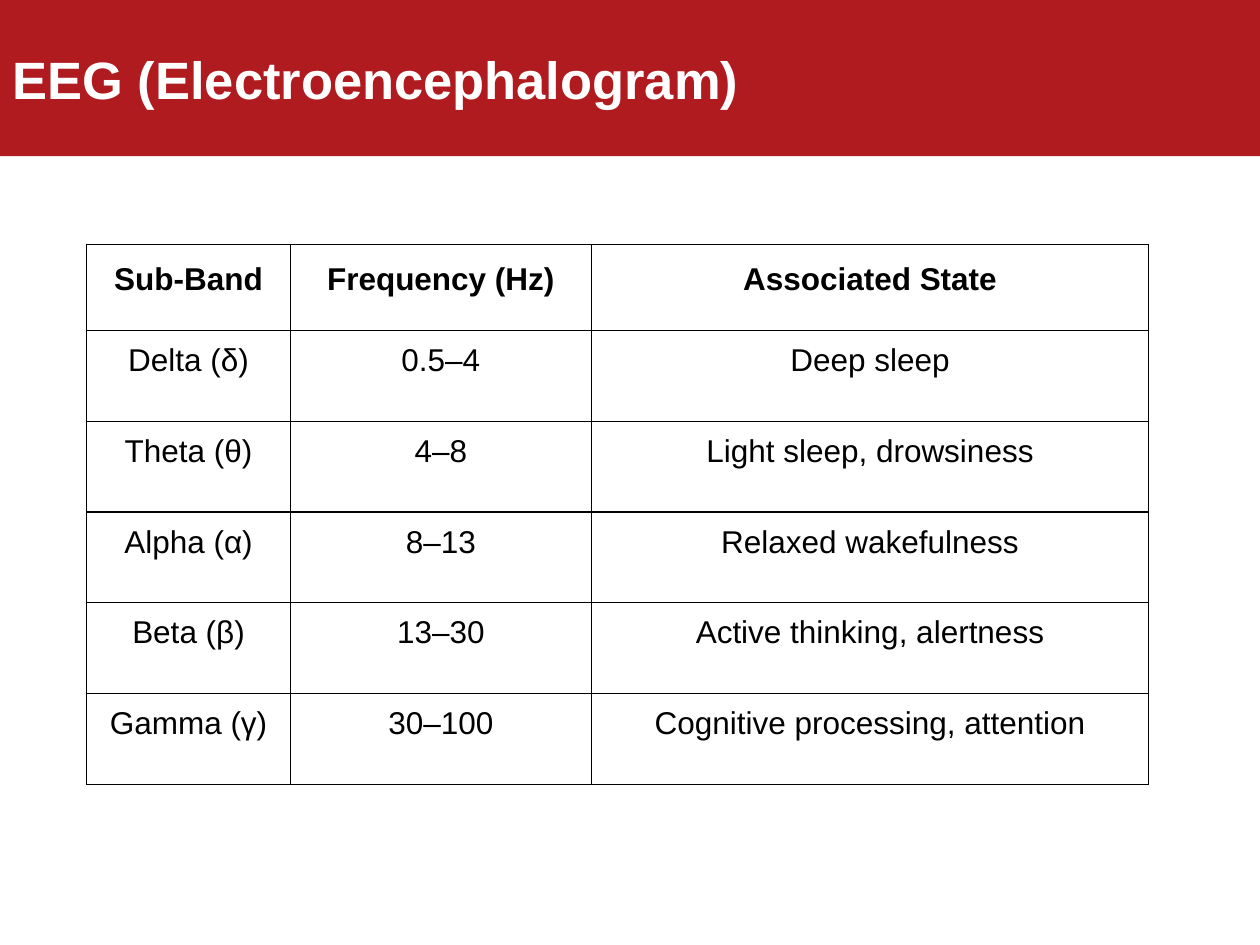
from lxml.etree import SubElement
from pptx import Presentation
from pptx.dml.color import RGBColor
from pptx.enum.text import MSO_ANCHOR, MSO_AUTO_SIZE, PP_ALIGN
from pptx.oxml.ns import qn
from pptx.util import Pt

RED = RGBColor(0xB0, 0x1B, 0x20)
WHITE = RGBColor(0xFF, 0xFF, 0xFF)
BLACK = RGBColor(0x00, 0x00, 0x00)
FONT = "Arial"

SLIDE_WIDTH, SLIDE_HEIGHT = 720, 540
BANNER_HEIGHT = 89.3
COLUMN_SHARES = [0.192, 0.283, 0.525]
HEADER_HEIGHT = 49.2
CELL_MARGIN = Pt(7.2)
BORDER_WIDTH = Pt(0.75)

BANDS = [
    ("Sub-Band", "Frequency (Hz)", "Associated State"),
    ("Delta (δ)", "0.5–4", "Deep sleep"),
    ("Theta (θ)", "4–8", "Light sleep, drowsiness"),
    ("Alpha (α)", "8–13", "Relaxed wakefulness"),
    ("Beta (β)", "13–30", "Active thinking, alertness"),
    ("Gamma (γ)", "30–100", "Cognitive processing, attention"),
]


def format_font(font, size, color, bold):
    font.name = FONT
    font.size = Pt(size)
    font.color.rgb = color
    font.bold = bold


def add_title_banner(slide, left, top, width, height):
    title = slide.shapes.title
    title.left, title.top = Pt(left), Pt(top)
    title.width, title.height = Pt(width), Pt(height)
    title.fill.solid()
    title.fill.fore_color.rgb = RED
    text_frame = title.text_frame
    text_frame.text = "EEG (Electroencephalogram)"
    text_frame.auto_size = MSO_AUTO_SIZE.NONE
    text_frame.vertical_anchor = MSO_ANCHOR.MIDDLE
    paragraph = text_frame.paragraphs[0]
    paragraph.alignment = PP_ALIGN.LEFT
    format_font(paragraph.runs[0].font, 30, WHITE, True)


def add_borders(cell):
    properties = cell._tc.get_or_add_tcPr()
    for side in ("a:lnL", "a:lnR", "a:lnT", "a:lnB"):
        line = SubElement(properties, qn(side), w=str(BORDER_WIDTH))
        fill = SubElement(line, qn("a:solidFill"))
        SubElement(fill, qn("a:srgbClr"), val=str(BLACK))


def fill_cell(cell, text, is_header):
    add_borders(cell)
    cell.fill.background()
    cell.margin_left = cell.margin_right = CELL_MARGIN
    cell.margin_top = cell.margin_bottom = CELL_MARGIN
    cell.vertical_anchor = MSO_ANCHOR.TOP
    cell.text_frame.text = text
    paragraph = cell.text_frame.paragraphs[0]
    paragraph.alignment = PP_ALIGN.CENTER
    if is_header:
        paragraph.line_spacing = 1.15
    format_font(paragraph.runs[0].font, 18, BLACK, is_header)


def add_band_table(slide, left, top, width, height):
    table = slide.shapes.add_table(
        len(BANDS), len(COLUMN_SHARES), Pt(left), Pt(top), Pt(width), Pt(height)
    ).table
    table.horz_banding = False
    for column, share in zip(table.columns, COLUMN_SHARES):
        column.width = Pt(width * share)
    body_height = (height - HEADER_HEIGHT) / (len(BANDS) - 1)
    for row_index, (row, texts) in enumerate(zip(table.rows, BANDS)):
        is_header = row_index == 0
        row.height = Pt(HEADER_HEIGHT if is_header else body_height)
        for cell, text in zip(row.cells, texts):
            fill_cell(cell, text, is_header)


def main():
    presentation = Presentation()
    presentation.slide_width = Pt(SLIDE_WIDTH)
    presentation.slide_height = Pt(SLIDE_HEIGHT)
    slide = presentation.slides.add_slide(presentation.slide_layouts[5])
    add_title_banner(slide, 0, 0, SLIDE_WIDTH, BANNER_HEIGHT)
    add_band_table(slide, 49.5, 139.7, 607, 308.5)
    presentation.save("out.pptx")


if __name__ == "__main__":
    main()
